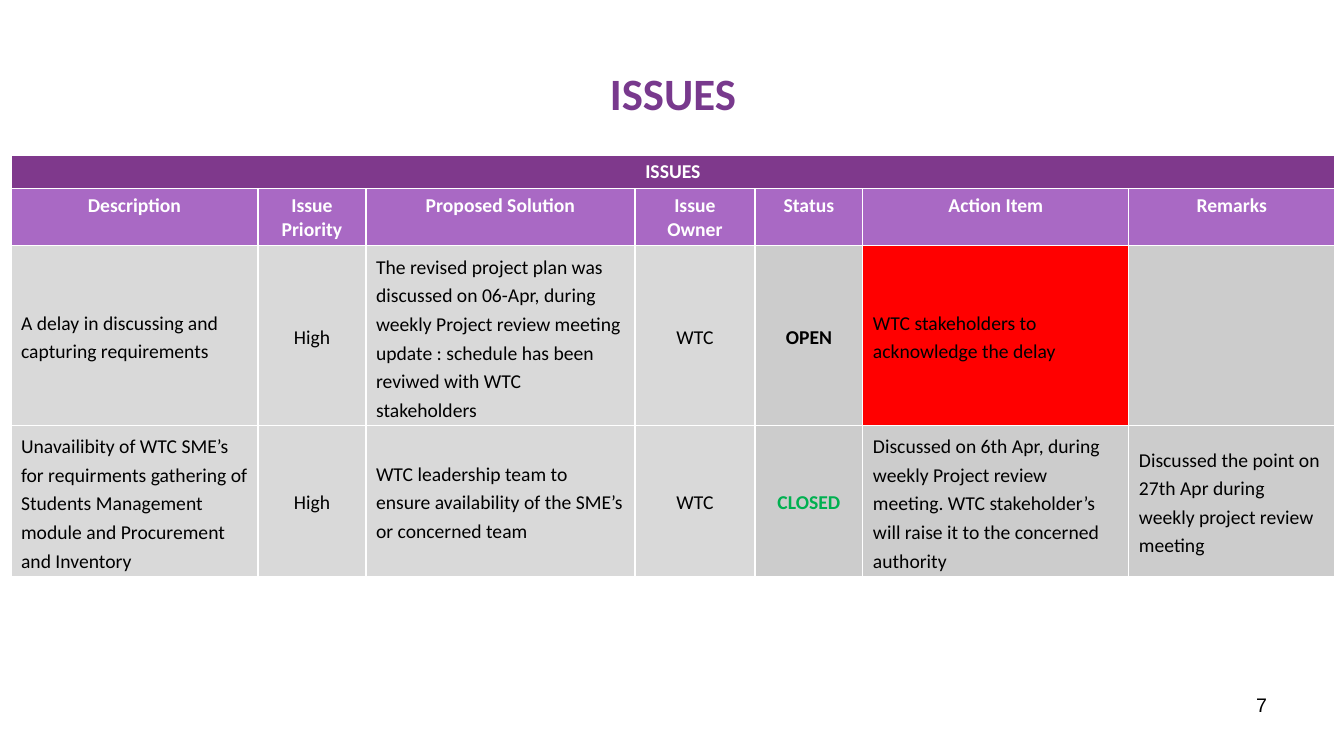
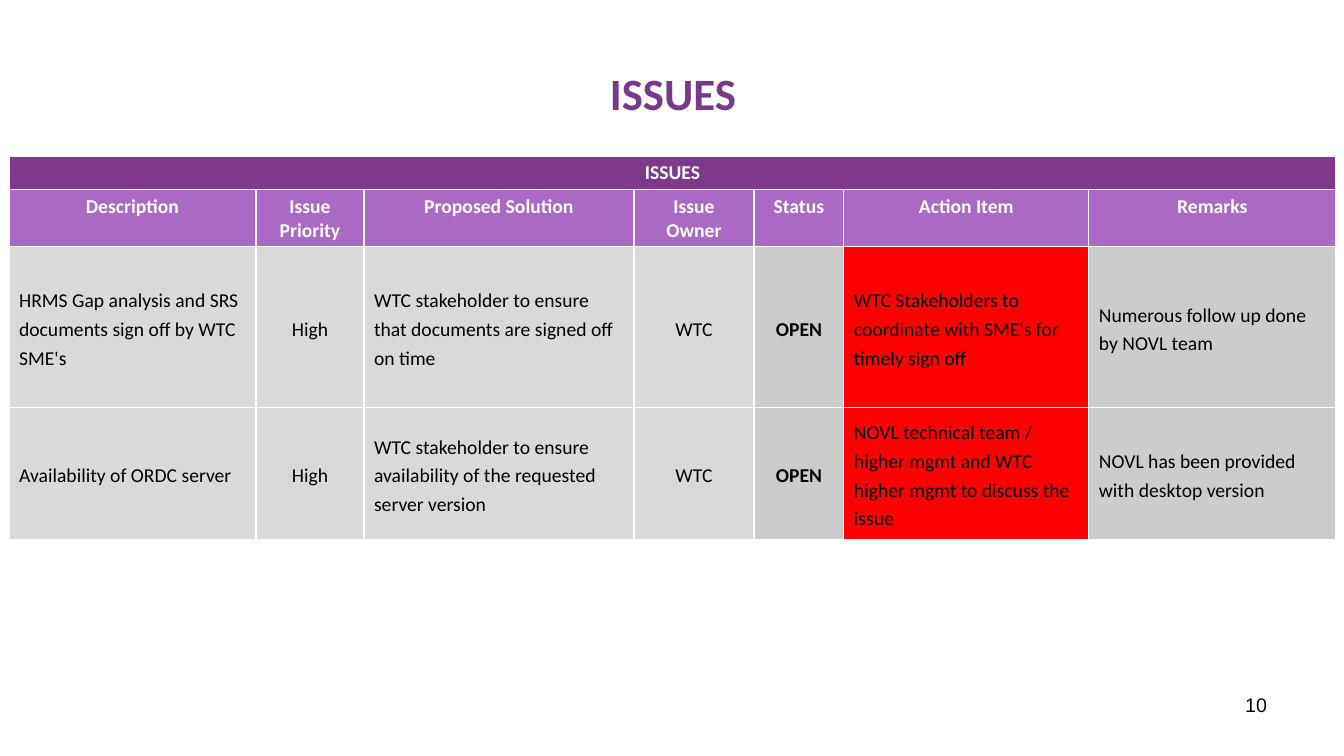
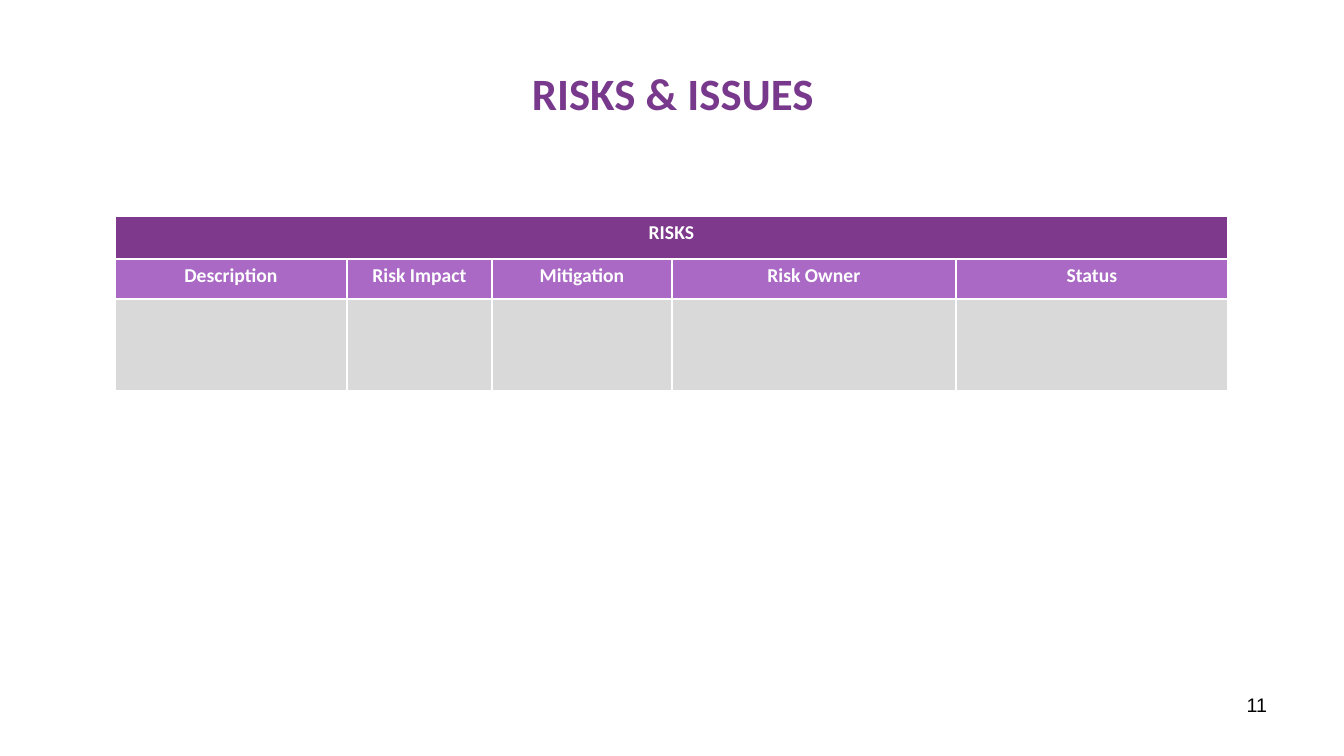
from pptx import Presentation
from pptx.dml.color import RGBColor
from pptx.enum.text import MSO_ANCHOR, PP_ALIGN
from pptx.oxml import parse_xml
from pptx.oxml.ns import nsdecls
from pptx.util import Emu, Pt

LEFT, MID, RIGHT = PP_ALIGN.LEFT, PP_ALIGN.CENTER, PP_ALIGN.RIGHT
TOP, HALF = MSO_ANCHOR.TOP, MSO_ANCHOR.MIDDLE
SCALE = 914400 / 100.8

PLUM = RGBColor(0x78, 0x39, 0x8D)
DEEP = RGBColor(0x7F, 0x39, 0x8C)
LILAC = RGBColor(0xA9, 0x69, 0xC4)
PALE = RGBColor(0xD9, 0xD9, 0xD9)
GREY = RGBColor(0xCC, 0xCC, 0xCC)
RED = RGBColor(0xFF, 0x00, 0x00)
GREEN = RGBColor(0x00, 0xB0, 0x50)
BLACK = RGBColor(0x00, 0x00, 0x00)
WHITE = RGBColor(0xFF, 0xFF, 0xFF)

TITLE_BOX = (68, 30, 1210, 126)
PAGE_BOX = (964, 688, 313, 52)
ISSUE_HEADS = ["Description", "Issue Priority", "Proposed Solution",
               "Issue Owner", "Status", "Action Item", "Remarks"]
RISK_HEADS = ["Description", "Risk Impact", "Mitigation", "Risk Owner", "Status"]
STATUS, ACTION = 4, 5
CENTRED = (1, 3, STATUS)


def px(n):
    """Turn pixels into EMU."""
    return Emu(round(n * SCALE))


def style(frame, size, color, bold=False, align=LEFT, font="Calibri", lead=None):
    """Format every paragraph and run of a text frame."""
    for para in frame.paragraphs:
        para.alignment = align
        para.line_spacing = lead
        for run in para.runs:
            run.font.name = font
            run.font.size = Pt(size)
            run.font.bold = bold
            run.font.color.rgb = color


def start(deck, title, page):
    """Add a slide with its title and page number."""
    slide = deck.slides.add_slide(deck.slide_layouts[5])
    head = slide.shapes.title
    head.left, head.top, head.width, head.height = map(px, TITLE_BOX)
    head.text_frame.text = title
    head.text_frame.vertical_anchor = HALF
    style(head.text_frame, 32, PLUM, True, MID)
    foot = slide.shapes.add_textbox(*map(px, PAGE_BOX)).text_frame
    foot.word_wrap = True
    foot.text = str(page)
    style(foot, 14, BLACK, align=RIGHT, font="Arial")
    return slide


def paint(cell, color):
    """Fill a cell and give it thin white borders."""
    cell.fill.solid()
    cell.fill.fore_color.rgb = color
    props = cell._tc.get_or_add_tcPr()
    for spot, side in enumerate("LRTB"):
        props.insert(spot, parse_xml(
            f'<a:ln{side} {nsdecls("a")} w="12700"><a:solidFill>'
            f'<a:srgbClr val="{WHITE}"/></a:solidFill></a:ln{side}>'))


def write(cell, text, fill, color=BLACK, bold=False, align=LEFT, anchor=HALF, lead=1.2):
    """Set the text and look of one cell."""
    paint(cell, fill)
    cell.vertical_anchor = anchor
    cell.text_frame.text = text
    style(cell.text_frame, 14, color, bold, align, lead=lead)


def grid(slide, left, top, cols, rows, band, heads):
    """Add a table with a merged band and a row of column heads."""
    table = slide.shapes.add_table(len(rows), len(cols), px(left), px(top),
                                   px(sum(cols)), px(sum(rows))).table
    table.first_row = table.horz_banding = False
    for col, wide in zip(table.columns, cols):
        col.width = px(wide)
    for row, tall in zip(table.rows, rows):
        row.height = px(tall)
    for c, head in enumerate(heads):
        write(table.cell(0, c), "" if c else band, DEEP, WHITE, True, MID, TOP, None)
        write(table.cell(1, c), head, LILAC, WHITE, True, MID, TOP, None)
    table.cell(0, 0).merge(table.cell(0, len(cols) - 1))
    return table


def issues(deck, page, left, top, cols, rows, items):
    """Build a slide that lists issues and flags the open actions."""
    slide = start(deck, "ISSUES", page)
    table = grid(slide, left, top, cols, rows, "ISSUES", ISSUE_HEADS)
    for r, item in enumerate(items, 2):
        for c, text in enumerate(item):
            fill = PALE if c < STATUS else GREY
            if c == ACTION and item[STATUS] == "OPEN":
                fill = RED
            write(table.cell(r, c), text, fill,
                  GREEN if text == "CLOSED" else BLACK,
                  c == STATUS, MID if c in CENTRED else LEFT)


def risks(deck, page, left, top, cols, rows):
    """Build a slide with an empty risk table."""
    slide = start(deck, "RISKS & ISSUES", page)
    table = grid(slide, left, top, cols, rows, "RISKS", RISK_HEADS)
    for c in range(len(cols)):
        paint(table.cell(2, c), PALE)


deck = Presentation()
deck.slide_width, deck.slide_height = px(1344), px(756)

issues(deck, 7, 11, 155, [247, 108, 269, 120, 108, 266, 206], [33, 57, 151, 151], [
    ["A delay in discussing and capturing requirements", "High",
     "The revised project plan was discussed on 06-Apr, during weekly Project "
     "review meeting\nupdate : schedule has been reviwed with WTC stakeholders",
     "WTC", "OPEN", "WTC stakeholders to acknowledge the delay", ""],
    ["Unavailibity of WTC SME’s for requirments gathering of Students "
     "Management module and Procurement and Inventory", "High",
     "WTC leadership team to ensure availability of the SME’s or concerned team",
     "WTC", "CLOSED",
     "Discussed on 6th Apr, during weekly Project review meeting. WTC "
     "stakeholder’s will raise it to the concerned authority",
     "Discussed the point on 27th Apr during weekly project review meeting"],
])
issues(deck, 10, 9, 156, [247, 108, 270, 120, 90, 245, 247], [33, 57, 161, 132], [
    ["HRMS Gap analysis and SRS documents sign off by WTC SME's", "High",
     "WTC stakeholder to ensure that documents are signed off on time",
     "WTC", "OPEN",
     "WTC Stakeholders to coordinate with SME's for timely sign off",
     "Numerous follow up done by NOVL team"],
    ["Availability of ORDC server", "High",
     "WTC stakeholder to ensure availability of the requested server version",
     "WTC", "OPEN",
     "NOVL technical team / higher mgmt and WTC higher mgmt to discuss the issue",
     "NOVL has been provided with desktop version"],
])
risks(deck, 11, 115, 216, [232, 145, 180, 284, 272], [43, 40, 92])

deck.save("out.pptx")
